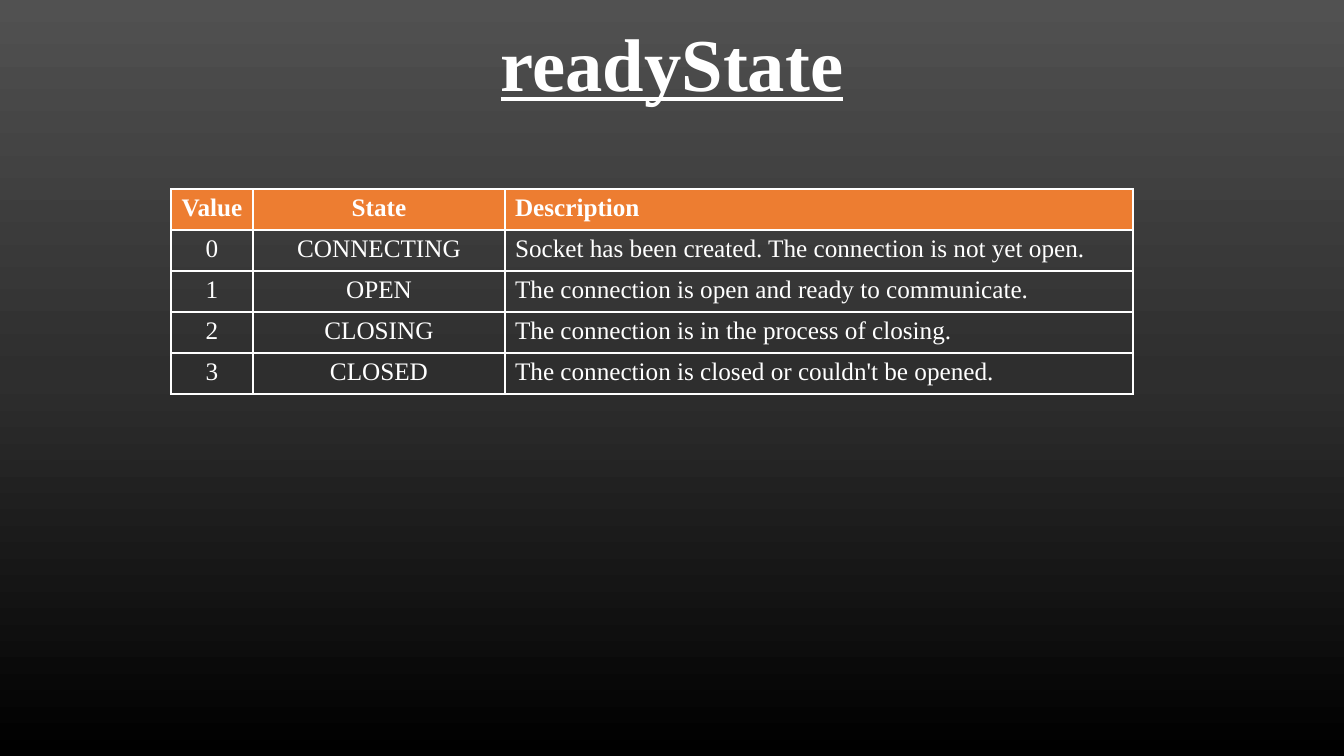
from copy import deepcopy

from lxml import etree
from pptx import Presentation, util as u
from pptx.dml.color import RGBColor
from pptx.enum import text
from pptx.oxml import ns

SCALE = 12192000 / 1344  # EMU in one px
COLORS = {"white": "FFFFFF", "header": "ED7D31",
          "top": "515151", "middle": "2E2E2E", "bottom": "000000"}
STATES = [
    ("Value", "State", "Description"),
    ("0", "CONNECTING", "Socket has been created. The connection is not yet open."),
    ("1", "OPEN", "The connection is open and ready to communicate."),
    ("2", "CLOSING", "The connection is in the process of closing."),
    ("3", "CLOSED", "The connection is closed or couldn't be opened."),
]
CENTER, LEFT = text.PP_ALIGN.CENTER, text.PP_ALIGN.LEFT


def px(length):
    return u.Emu(round(length * SCALE))


def color(name):
    return RGBColor.from_string(COLORS[name])


class SlideBuilder:
    """Holds the text style and the slide being filled."""

    font = {"name": "Times New Roman"}

    def __init__(self, slide):
        self.slide = slide

    def background(self, names):
        """Fill from top to bottom with evenly spaced colours."""
        fill = self.slide.background.fill
        fill.gradient()
        fill.gradient_angle = 270
        stop_list = self.slide._element.find(".//" + ns.qn("a:gsLst"))
        while len(stop_list) < len(names):
            stop_list.append(deepcopy(stop_list[-1]))
        for index, (element, name) in enumerate(zip(stop_list, names)):
            element.set("pos", str(100000 * index // (len(names) - 1)))
            fill.gradient_stops[index].color.rgb = color(name)

    def add_text(self, frame, words, align, **formats):
        paragraph = frame.paragraphs[0]
        paragraph.alignment = align
        run = paragraph.add_run()
        run.text = words
        for key, value in {**self.font, **formats}.items():
            setattr(run.font, key, value)
        run.font.color.rgb = color("white")
        return paragraph

    def title(self, words, left, top, width, height):
        shape = self.slide.shapes.title
        box = {"left": left, "top": top, "width": width, "height": height}
        for key, value in box.items():
            setattr(shape, key, px(value))
        frame = shape.text_frame
        frame.auto_size = text.MSO_AUTO_SIZE.NONE
        frame.vertical_anchor = text.MSO_ANCHOR.MIDDLE
        paragraph = self.add_text(frame, words, CENTER, size=u.Pt(53.3),
                                  bold=True, underline=True)
        paragraph.line_spacing = 0.9

    def borders(self, cell):
        properties = cell._tc.get_or_add_tcPr()
        for side in ("lnL", "lnR", "lnT", "lnB"):
            line = etree.SubElement(properties, ns.qn("a:" + side), w=str(u.Pt(1)))
            solid = etree.SubElement(line, ns.qn("a:solidFill"))
            etree.SubElement(solid, ns.qn("a:srgbClr"), val=COLORS["white"])

    def table(self, rows, left, top, widths, row_height, aligns):
        frame = self.slide.shapes.add_table(
            len(rows), len(widths), px(left), px(top),
            px(sum(widths)), px(row_height * len(rows)))
        table = frame.table
        table.horz_banding = False
        for column, width in zip(table.columns, widths):
            column.width = px(width)
        for row_index, (row, values) in enumerate(zip(table.rows, rows)):
            row.height = px(row_height)
            header = row_index == 0
            for cell, words, align in zip(row.cells, values, aligns):
                self.borders(cell)
                if header:
                    cell.fill.solid()
                    cell.fill.fore_color.rgb = color("header")
                else:
                    cell.fill.background()
                self.add_text(cell.text_frame, words, align, size=u.Pt(18), bold=header)


def main():
    presentation = Presentation()
    presentation.slide_width = px(1344)
    presentation.slide_height = px(756)
    title_only = presentation.slide_layouts[5]
    builder = SlideBuilder(presentation.slides.add_slide(title_only))
    builder.background(["top", "middle", "bottom"])
    builder.title("readyState", 67, 4, 1210, 126)
    builder.table(STATES, 171, 189, [82, 252, 628], 41, [CENTER, CENTER, LEFT])
    presentation.save("out.pptx")


if __name__ == "__main__":
    main()
